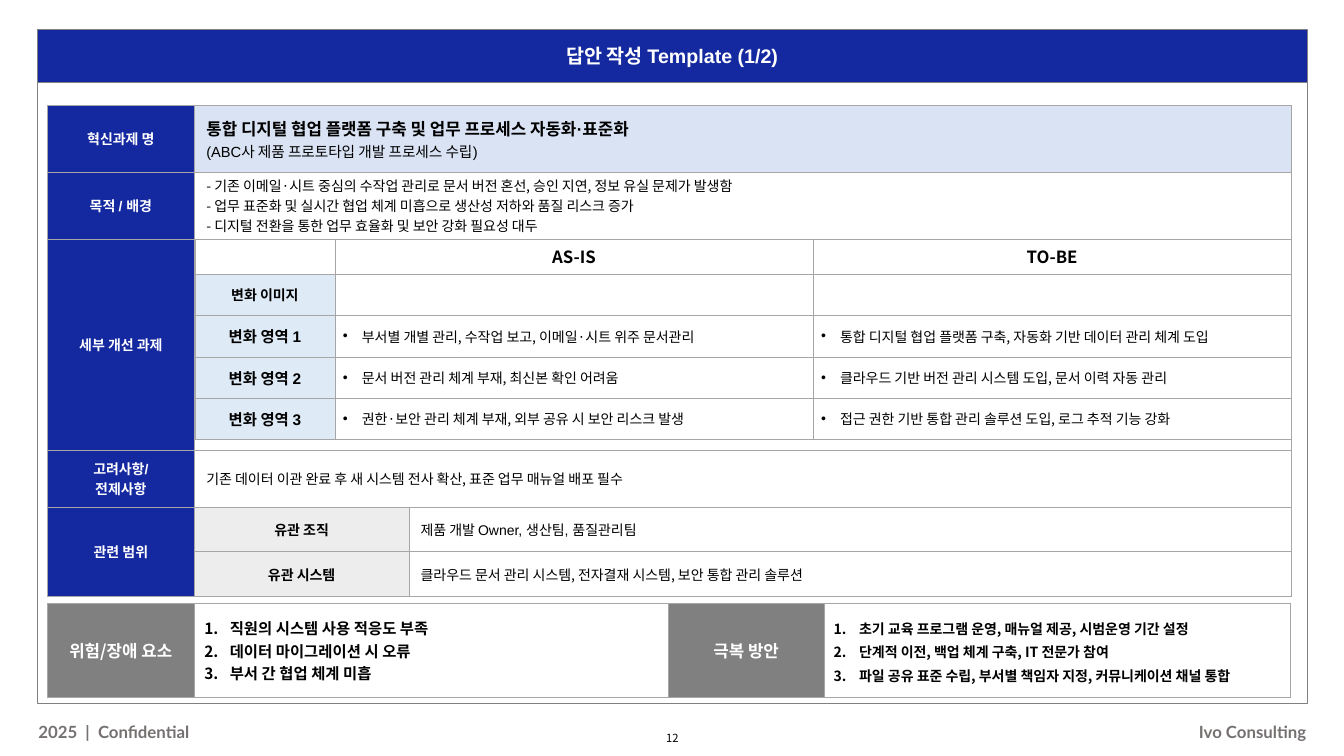
from lxml.etree import SubElement
from pptx import Presentation
from pptx.dml.color import RGBColor
from pptx.enum.shapes import MSO_SHAPE
from pptx.enum.text import MSO_ANCHOR, MSO_AUTO_SIZE, PP_ALIGN
from pptx.oxml.ns import qn
from pptx.util import Cm, Pt

NOTO, ARIAL, LATO = "Noto Sans CJK KR", "Arial", "Lato"
BLUE, GRAY, WHITE, BLACK = "1428A0", "808080", "FFFFFF", "000000"
PALE, SKY, SILVER, EDGE = "DAE3F3", "DEEBF7", "EDEDED", "A6A6A6"
MID, LEFT, RIGHT = PP_ALIGN.CENTER, PP_ALIGN.LEFT, PP_ALIGN.RIGHT


def color(code):
    return RGBColor.from_string(code)


def paint(item, code):
    item.fill.solid()
    item.fill.fore_color.rgb = color(code)


def place(shape, *box):
    shape.left, shape.top, shape.width, shape.height = map(Cm, box)


def add_run(para, text, size, face, hue, bold):
    run = para.add_run()
    run.text = text
    font = run.font
    font.size, font.bold, font.name = Pt(size), bold, face
    font.color.rgb = color(hue)
    SubElement(run._r.get_or_add_rPr(), qn("a:ea"), typeface=NOTO)


def add_mark(para, mark, indent):
    props = para._p.get_or_add_pPr()
    props.set("marL", str(Cm(indent)))
    props.set("indent", str(-Cm(indent)))
    SubElement(props, qn("a:buFont"), typeface=ARIAL)
    if mark == "1.":
        SubElement(props, qn("a:buAutoNum"), type="arabicPeriod")
    else:
        SubElement(props, qn("a:buChar"), char=mark)


def write(frame, text, size=10, face=ARIAL, hue=BLACK, bold=False,
          align=LEFT, mark=None, indent=0.48, lead=None, new=False):
    """Each item of text is a paragraph; a newline breaks the line."""
    for i, item in enumerate([text] if isinstance(text, str) else text):
        para = frame.add_paragraph() if i or new else frame.paragraphs[0]
        para.alignment = align
        if lead:
            para.line_spacing = lead
        if mark:
            add_mark(para, mark, indent)
        for j, line in enumerate(item.split("\n")):
            if j:
                para.add_line_break()
            add_run(para, line, size, face, hue, bold)


def add_edge(cell):
    props = cell._tc.get_or_add_tcPr()
    for side in ("lnL", "lnR", "lnT", "lnB"):
        line = SubElement(props, qn(f"a:{side}"), w=str(Pt(0.25)))
        SubElement(SubElement(line, qn("a:solidFill")), qn("a:srgbClr"), val=EDGE)


def pad(cell, side, edge):
    cell.margin_left = cell.margin_right = Cm(side)
    cell.margin_top = cell.margin_bottom = Cm(edge)


def add_grid(slide, left, top, cols, rows, side, edge):
    box = map(Cm, (left, top, sum(cols), sum(rows)))
    grid = slide.shapes.add_table(len(rows), len(cols), *box).table
    grid.first_row = grid.horz_banding = False
    for col, width in zip(grid.columns, cols):
        col.width = Cm(width)
    for row, height in zip(grid.rows, rows):
        row.height = Cm(height)
    for cell in grid.iter_cells():
        cell.vertical_anchor = MSO_ANCHOR.MIDDLE
        pad(cell, side, edge)
        add_edge(cell)
        paint(cell, WHITE)
    return grid


def put(cell, text, fill=WHITE, **style):
    paint(cell, fill)
    write(cell.text_frame, text, **style)


def blank(cell):
    SubElement(cell.text_frame.paragraphs[0]._p, qn("a:endParaRPr"), sz="1000")


def add_note(slide, box, text, **style):
    frame = slide.shapes.add_textbox(*map(Cm, box)).text_frame
    frame.word_wrap = True
    frame.vertical_anchor = MSO_ANCHOR.MIDDLE
    frame.margin_left = frame.margin_right = 0
    frame.margin_top = frame.margin_bottom = 0
    write(frame, text, **style)


def add_head(slide):
    title = slide.shapes.title
    place(title, 0.94, 0.75, 32, 1.33)
    paint(title, BLUE)
    panel = slide.shapes.add_shape(MSO_SHAPE.RECTANGLE, 0, 0, 0, 0)
    place(panel, 0.94, 2.08, 32, 15.65)
    panel.fill.background()
    panel.shadow.inherit = False
    for shape in (title, panel):
        shape.line.color.rgb = color(GRAY)
        shape.line.width = Pt(0.5)
    frame = title.text_frame
    frame.auto_size = MSO_AUTO_SIZE.NONE
    frame.vertical_anchor = MSO_ANCHOR.MIDDLE
    write(frame, "답안 작성 Template (1/2)", size=14, hue=WHITE, bold=True, align=MID)


def add_main(slide):
    grid = add_grid(slide, 1.19, 2.66, [3.71, 5.4, 22.25],
                    [1.68, 1.68, 5.33, 1.42, 1.13, 1.13], 0.3, 0)
    for row in range(4):
        grid.cell(row, 1).merge(grid.cell(row, 2))
    grid.cell(4, 0).merge(grid.cell(5, 0))

    # Row labels
    labels = ["혁신과제 명", "목적 / 배경", "세부 개선 과제", "고려사항/\n전제사항", "관련 범위"]
    for row, label in enumerate(labels):
        put(grid.cell(row, 0), label, BLUE, hue=WHITE, bold=True, align=MID)

    # Task name, background and premise
    name = grid.cell(0, 1)
    put(name, "통합 디지털 협업 플랫폼 구축 및 업무 프로세스 자동화·표준화",
        PALE, size=12, bold=True)
    write(name.text_frame, "(ABC사 제품 프로토타입 개발 프로세스 수립)", size=10.5, new=True)
    put(grid.cell(1, 1),
        "- 기존 이메일·시트 중심의 수작업 관리로 문서 버전 혼선, 승인 지연, 정보 유실 문제가 발생함\n"
        "- 업무 표준화 및 실시간 협업 체계 미흡으로 생산성 저하와 품질 리스크 증가\n"
        "- 디지털 전환을 통한 업무 효율화 및 보안 강화 필요성 대두", face=NOTO)
    put(grid.cell(3, 1), "기존 데이터 이관 완료 후 새 시스템 전사 확산, 표준 업무 매뉴얼 배포 필수",
        face=NOTO)

    # Related scope
    scope = [("유관 조직", "제품 개발 Owner, 생산팀, 품질관리팀", ARIAL),
             ("유관 시스템", "클라우드 문서 관리 시스템, 전자결재 시스템, 보안 통합 관리 솔루션", NOTO)]
    for row, (label, text, face) in enumerate(scope, 4):
        put(grid.cell(row, 1), label, SILVER, bold=True, align=MID)
        put(grid.cell(row, 2), text, face=face)


def add_change(slide):
    grid = add_grid(slide, 4.91, 6.02, [3.53, 12.05, 12.05],
                    [0.89] + [1.04] * 4, 0.1, 0.13)
    for row, col in ((0, 0), (1, 1), (1, 2)):
        blank(grid.cell(row, col))
    for col, label in enumerate(["AS-IS", "TO-BE"], 1):
        put(grid.cell(0, col), label, size=12, face=NOTO, bold=True, align=MID)
    put(grid.cell(1, 0), "변화 이미지", SKY, face=NOTO, bold=True, align=MID)
    areas = [("부서별 개별 관리, 수작업 보고, 이메일·시트 위주 문서관리",
              "통합 디지털 협업 플랫폼 구축, 자동화 기반 데이터 관리 체계 도입"),
             ("문서 버전 관리 체계 부재, 최신본 확인 어려움",
              "클라우드 기반 버전 관리 시스템 도입, 문서 이력 자동 관리"),
             ("권한·보안 관리 체계 부재, 외부 공유 시 보안 리스크 발생",
              "접근 권한 기반 통합 관리 솔루션 도입, 로그 추적 기능 강화")]
    for num, pair in enumerate(areas, 1):
        put(grid.cell(num + 1, 0), f"변화 영역 {num}", SKY, size=11, bold=True, align=MID)
        for col, text in enumerate(pair, 1):
            cell = grid.cell(num + 1, col)
            pad(cell, 0.2, 0.1)
            put(cell, text, face=NOTO, mark="•")


def add_risk(slide):
    grid = add_grid(slide, 1.19, 15.21, [3.71, 11.95, 3.91, 11.76], [2.36], 0.25, 0.13)
    parts = [("위험/장애 요소", 11, None,
              ["직원의 시스템 사용 적응도 부족", "데이터 마이그레이션 시 오류", "부서 간 협업 체계 미흡"]),
             ("극복 방안", 10, 1.15,
              ["초기 교육 프로그램 운영, 매뉴얼 제공, 시범운영 기간 설정",
               "단계적 이전, 백업 체계 구축, IT 전문가 참여",
               "파일 공유 표준 수립, 부서별 책임자 지정, 커뮤니케이션 채널 통합"])]
    for i, (label, size, lead, items) in enumerate(parts):
        put(grid.cell(0, 2 * i), label, GRAY, size=12, face=NOTO, hue=WHITE,
            bold=True, align=MID)
        put(grid.cell(0, 2 * i + 1), items, size=size, face=NOTO, bold=True,
            mark="1.", indent=0.64, lead=lead)


def add_foot(slide):
    style = dict(size=12, face=LATO, hue="767171", bold=True)
    add_note(slide, (0.97, 18.14, 7.75, 0.61), "2025  |  Confidential", **style)
    add_note(slide, (25.17, 18.14, 7.75, 0.61), "Ivo Consulting", align=RIGHT, **style)
    add_note(slide, (16.64, 18.34, 0.61, 0.51), "12", size=8, face=NOTO, align=MID)


def main():
    deck = Presentation()
    deck.slide_width, deck.slide_height = Cm(33.87), Cm(19.05)
    slide = deck.slides.add_slide(deck.slide_layouts[5])
    add_head(slide)
    add_main(slide)
    add_change(slide)
    add_risk(slide)
    add_foot(slide)
    deck.save("out.pptx")


if __name__ == "__main__":
    main()
